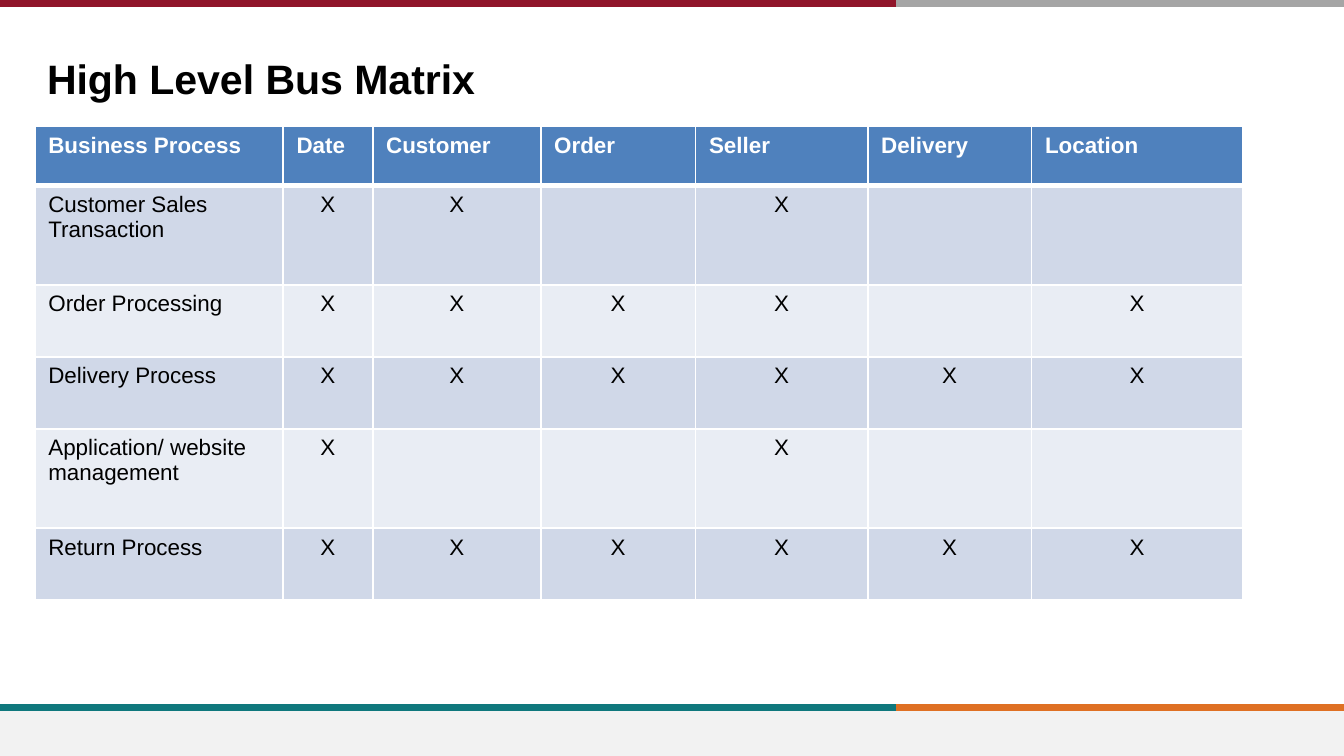
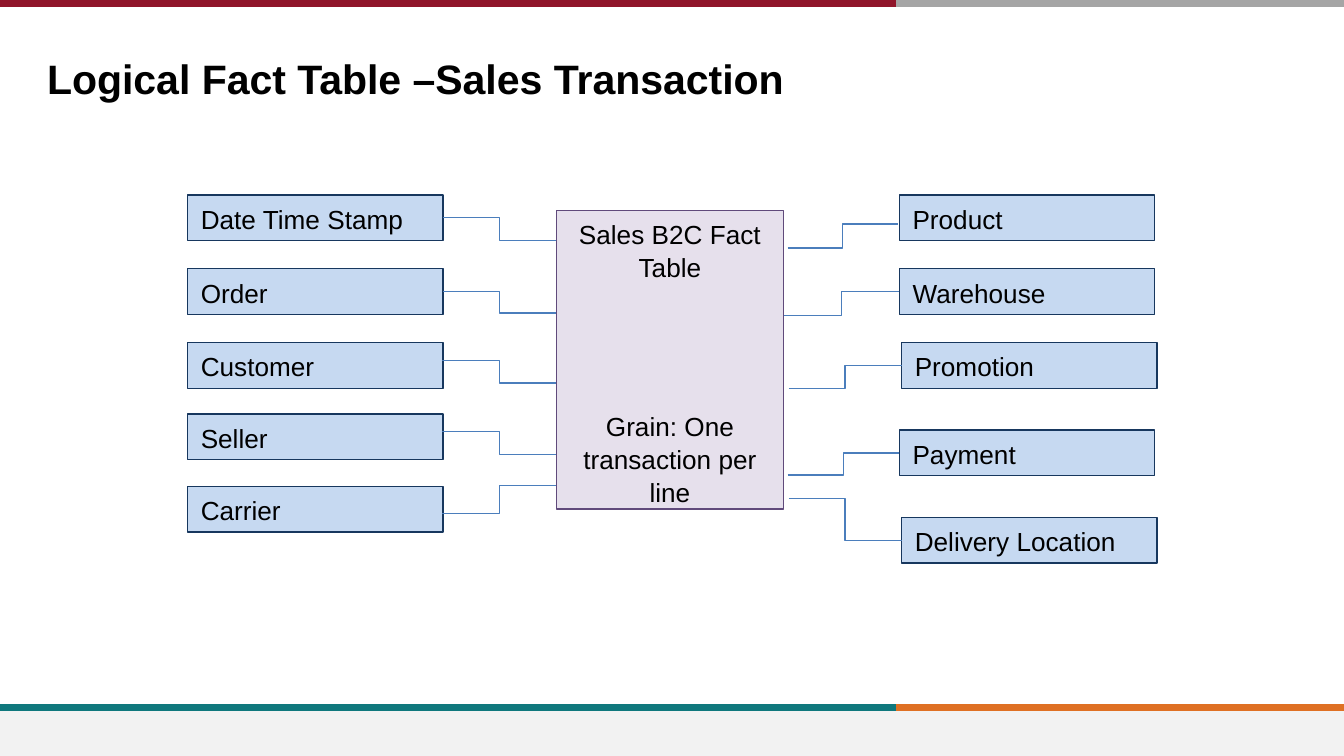
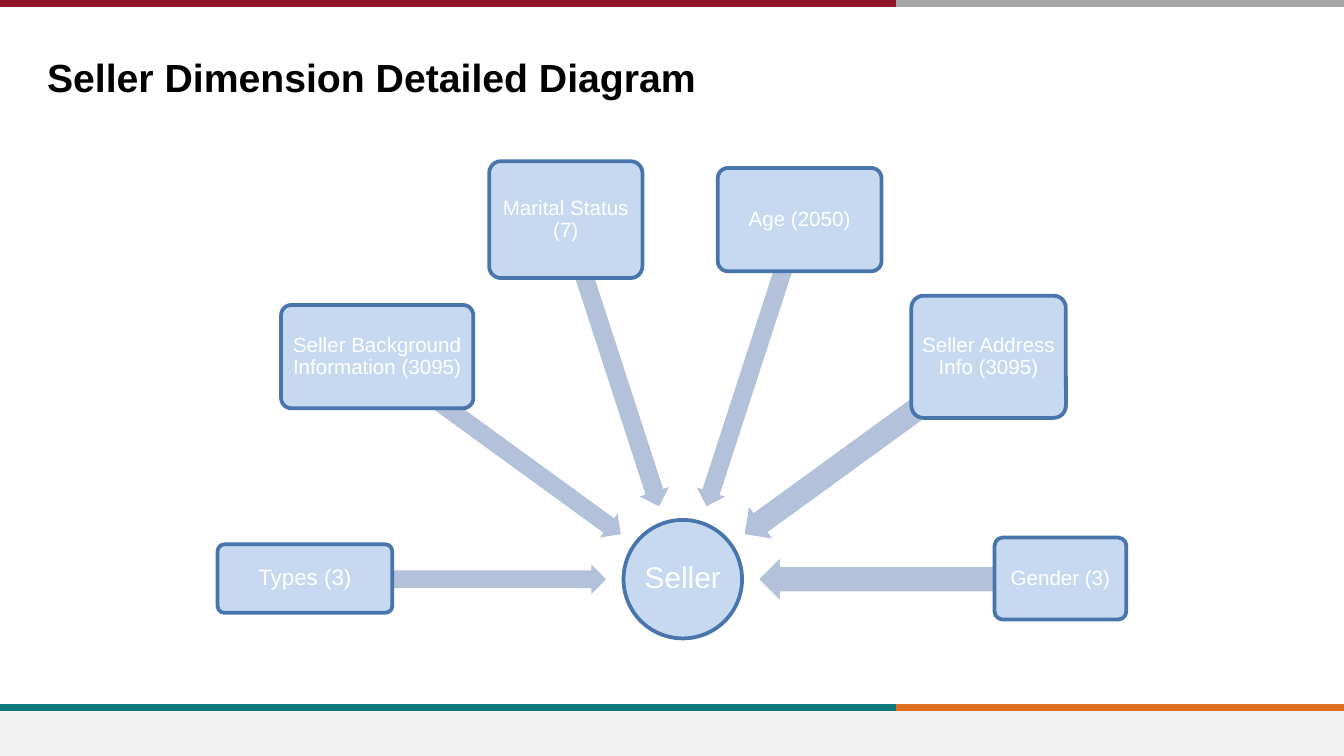
import math

from lxml import etree
from pptx import Presentation
from pptx.dml.color import RGBColor
from pptx.enum import shapes, text
from pptx.oxml import ns
from pptx.util import Pt

# Shared look
FONT = "Arial"
BLACK = RGBColor(0x00, 0x00, 0x00)
WHITE = RGBColor(0xFF, 0xFF, 0xFF)
MAROON = RGBColor(0x90, 0x15, 0x2A)
GREY = RGBColor(0xA5, 0xA5, 0xA5)
TEAL = RGBColor(0x0F, 0x78, 0x7D)
ORANGE = RGBColor(0xDF, 0x70, 0x23)
FOOTER = RGBColor(0xF2, 0xF2, 0xF2)
HEADER = RGBColor(0x4F, 0x81, 0xBD)
ROWS = (RGBColor(0xD0, 0xD8, 0xE8), RGBColor(0xE9, 0xED, 0xF4))
SKY = RGBColor(0xC6, 0xD9, 0xF1)
NAVY = RGBColor(0x17, 0x37, 0x5E)
LILAC = RGBColor(0xE6, 0xE0, 0xEC)
PURPLE = RGBColor(0x60, 0x4A, 0x7B)
LINK = RGBColor(0x4B, 0x7E, 0xBC)
RIM = RGBColor(0x48, 0x75, 0xAC)
ARROW = RGBColor(0xB3, 0xC1, 0xDB)

W, H = 720, 405
SPLIT = 480
BANDS = [(SPLIT, W, 379.4, ORANGE), (0, SPLIT, 379.4, TEAL),
         (SPLIT, W, 1.6, GREY), (0, SPLIT, 1.6, MAROON)]

# Bus matrix: dimension and column width; process, row height and marks
PROCESS_HEAD = ("Business Process", 133)
DIMENSIONS = [("Date", 48), ("Customer", 90), ("Order", 83),
              ("Seller", 92.2), ("Delivery", 87.8), ("Location", 113)]
HEAD_HEIGHT = 31.7
PROCESSES = [("Customer Sales Transaction", 53.2, "XX-X--"),
             ("Order Processing", 38.6, "XXXX-X"),
             ("Delivery Process", 38.6, "XXXXXX"),
             ("Application/ website management", 53.2, "X--X--"),
             ("Return Process", 38.6, "XXXXXX")]

# Fact table: name, box left, box top, link (x1, y1, x2, y2)
FACT = ["Sales B2C Fact Table", "Grain: One transaction per line"]
LEFT_BOXES = [("Date Time Stamp", 100.5, 104.4, (237, 116.6, 298, 128.8)),
              ("Order", 100.5, 144, (237, 155.6, 298, 167.7)),
              ("Customer", 100.5, 183.6, (237, 193, 298, 205.1)),
              ("Seller", 100.5, 221.8, (237, 231.2, 298, 243.4)),
              ("Carrier", 100.5, 260.6, (237, 275, 298, 260))]
RIGHT_BOXES = [("Product", 481.8, 104.4, (422, 132.9, 481, 120)),
               ("Warehouse", 481.8, 144, (420, 169.2, 479, 156.2)),
               ("Promotion", 483, 183.6, (422.6, 208, 482, 195)),
               ("Payment", 481.8, 230.4, (422, 254.5, 481, 241.4)),
               ("Delivery Location", 483, 277.2, (422.6, 267.1, 482, 288.7))]
BOX_W, BOX_H = 136.8, 24.5

# Seller dimension: label, size, box, thickness of its arrow
HUB = (365.8, 310.3)
HUB_SIZE = 63.5
ARROW_LENGTH, ARROW_DISTANCE = 161.3, 121.7
SPOKES = [("Types (3)", 12, (116.6, 291.6, 93.6, 36.7), 16),
          ("Seller Background Information (3095)", 11, (150.6, 163.4, 103, 55.4), 16),
          ("Marital Status (7)", 11, (262.1, 86.4, 82.1, 62.6), 16.5),
          ("Age (2050)", 11, (384.5, 90, 87.8, 55.4), 16),
          ("Seller Address Info (3095)", 11, (488.2, 158.4, 82.8, 65.5), 21),
          ("Gender (3)", 11, (532.8, 288, 70.6, 43.9), 22)]


def write(tf, *lines, size=12, color=BLACK, bold=False, align=None,
          spacing=None, gap=0):
    for i, line in enumerate(lines):
        p = tf.paragraphs[0] if i == 0 else tf.add_paragraph()
        p.alignment = align or text.PP_ALIGN.LEFT
        if spacing:
            p.line_spacing = spacing
        if i:
            p.space_before = Pt(gap)
        r = p.add_run()
        r.text = line
        r.font.name, r.font.size = FONT, Pt(size)
        r.font.bold, r.font.color.rgb = bold, color


def set_insets(tf, x, y):
    tf.margin_left = tf.margin_right = Pt(x)
    tf.margin_top = tf.margin_bottom = Pt(y)


def add_shape(s, kind, box, fill, line=None, width=0.75):
    sp = s.shapes.add_shape(kind, *map(Pt, box))
    sp.shadow.inherit = False
    sp.fill.solid()
    sp.fill.fore_color.rgb = fill
    if line is None:
        sp.line.fill.background()
    else:
        sp.line.color.rgb, sp.line.width = line, Pt(width)
    return sp


def add_line(s, kind, ends, color, width):
    c = s.shapes.add_connector(kind, *map(Pt, ends))
    c.line.color.rgb, c.line.width = color, Pt(width)
    etree.SubElement(c.element.spPr, ns.qn("a:effectLst"))
    return c


def make_layout(prs, s):
    """Put the bands and the title place on the layout of slide s."""
    layout = s.slide_layout
    for ph in list(layout.placeholders):
        if ph.placeholder_format.type == shapes.PP_PLACEHOLDER.TITLE:
            ph.left, ph.top, ph.width, ph.height = map(Pt, (18, 25, 575.3, 31.7))
        else:
            ph.element.getparent().remove(ph.element)
    parts = [add_line(s, shapes.MSO_CONNECTOR.STRAIGHT, (x1, y, x2, y), color, 4)
             for x1, x2, y, color in BANDS]
    parts.insert(2, add_shape(s, shapes.MSO_SHAPE.RECTANGLE,
                              (0, 381, W, H - 381), FOOTER))
    for part in parts:
        layout.shapes.element.append(part.element)


def add_slide(prs, title, size=22):
    s = prs.slides.add_slide(prs.slide_layouts[5])
    tf = s.shapes.title.text_frame
    tf.word_wrap = True
    tf.vertical_anchor = text.MSO_ANCHOR.TOP
    set_insets(tf, 7.2, 3.6)
    write(tf, title, size=size, bold=True)
    return s


def style_cell(cell, fill, bottom=1):
    tc_pr = cell._tc.get_or_add_tcPr()
    for side, width in (("L", 1), ("R", 1), ("T", 1), ("B", bottom)):
        ln = etree.SubElement(tc_pr, ns.qn("a:ln" + side), w=str(Pt(width)))
        solid = etree.SubElement(ln, ns.qn("a:solidFill"))
        etree.SubElement(solid, ns.qn("a:srgbClr"), val=str(WHITE))
    cell.fill.solid()
    cell.fill.fore_color.rgb = fill


def draw_matrix(s):
    columns = [PROCESS_HEAD] + DIMENSIONS
    heights = [HEAD_HEIGHT] + [height for _, height, _ in PROCESSES]
    table = s.shapes.add_table(len(heights), len(columns), Pt(18.7), Pt(67.7),
                               Pt(sum(w for _, w in columns)),
                               Pt(sum(heights))).table
    for row, height in zip(table.rows, heights):
        row.height = Pt(height)
    for j, (name, width) in enumerate(columns):
        table.columns[j].width = Pt(width)
        style_cell(table.cell(0, j), HEADER, bottom=3)
        write(table.cell(0, j).text_frame, name, color=WHITE, bold=True)
    for i, (process, _, marks) in enumerate(PROCESSES, 1):
        for j, value in enumerate([process, *marks]):
            cell = table.cell(i, j)
            style_cell(cell, ROWS[(i - 1) % 2])
            if value != "-":
                write(cell.text_frame, value,
                      align=text.PP_ALIGN.CENTER if j else None)


def draw_fact_table(s):
    def add_box(box, fill, line, *lines, **fmt):
        sp = add_shape(s, shapes.MSO_SHAPE.RECTANGLE, box, fill, line)
        sp.text_frame.word_wrap = True
        sp.text_frame.vertical_anchor = text.MSO_ANCHOR.TOP
        write(sp.text_frame, *lines, size=14, spacing=1.05, **fmt)
        return sp

    add_box((298, 112.8, 121.8, 160), LILAC, PURPLE, *FACT,
            align=text.PP_ALIGN.CENTER, gap=67.5)
    for boxes, on_left in ((LEFT_BOXES, True), (RIGHT_BOXES, False)):
        for name, x, y, ends in boxes:
            sp = add_box((x, y, BOX_W, BOX_H), SKY, NAVY, name)
            c = add_line(s, shapes.MSO_CONNECTOR.ELBOW, ends, LINK, 0.75)
            # Join the links that meet the middle of the box side
            if abs((ends[1] if on_left else ends[3]) - y - BOX_H / 2) < 1.5:
                if on_left:
                    c.begin_connect(sp, 3)
                else:
                    c.end_connect(sp, 1)


def draw_seller(s):
    def add_node(kind, box, label, size, inset):
        sp = add_shape(s, kind, box, SKY, RIM, 2)
        tf = sp.text_frame
        tf.word_wrap = True
        tf.vertical_anchor = text.MSO_ANCHOR.MIDDLE
        set_insets(tf, inset, inset)
        write(tf, label, size=size, color=WHITE, spacing=0.9,
              align=text.PP_ALIGN.CENTER)
        return sp

    cx, cy = HUB
    add_node(shapes.MSO_SHAPE.OVAL, (cx - HUB_SIZE / 2, cy - HUB_SIZE / 2,
                                     HUB_SIZE, HUB_SIZE), "Seller", 16, 1)
    # Arrows fan out over the upper half circle
    step = 180 / (len(SPOKES) - 1)
    for i, (label, size, box, thick) in enumerate(SPOKES):
        angle = 180 + i * step
        x = cx + ARROW_DISTANCE * math.cos(math.radians(angle))
        y = cy + ARROW_DISTANCE * math.sin(math.radians(angle))
        arrow = add_shape(s, shapes.MSO_SHAPE.LEFT_ARROW,
                          (x - ARROW_LENGTH / 2, y - thick / 2,
                           ARROW_LENGTH, thick), ARROW)
        arrow.rotation = angle % 360
        arrow.adjustments[0], arrow.adjustments[1] = 0.6, 0.5
        node = add_node(shapes.MSO_SHAPE.ROUNDED_RECTANGLE, box, label, size, 2)
        node.adjustments[0] = 0.1


def main():
    prs = Presentation()
    prs.slide_width, prs.slide_height = Pt(W), Pt(H)

    # Bus matrix
    s = add_slide(prs, "High Level Bus Matrix")
    make_layout(prs, s)
    draw_matrix(s)

    # Fact table
    draw_fact_table(add_slide(prs, "Logical Fact Table –Sales Transaction"))

    # Seller dimension
    draw_seller(add_slide(prs, "Seller Dimension Detailed Diagram", size=21))

    prs.save("out.pptx")


if __name__ == "__main__":
    main()
